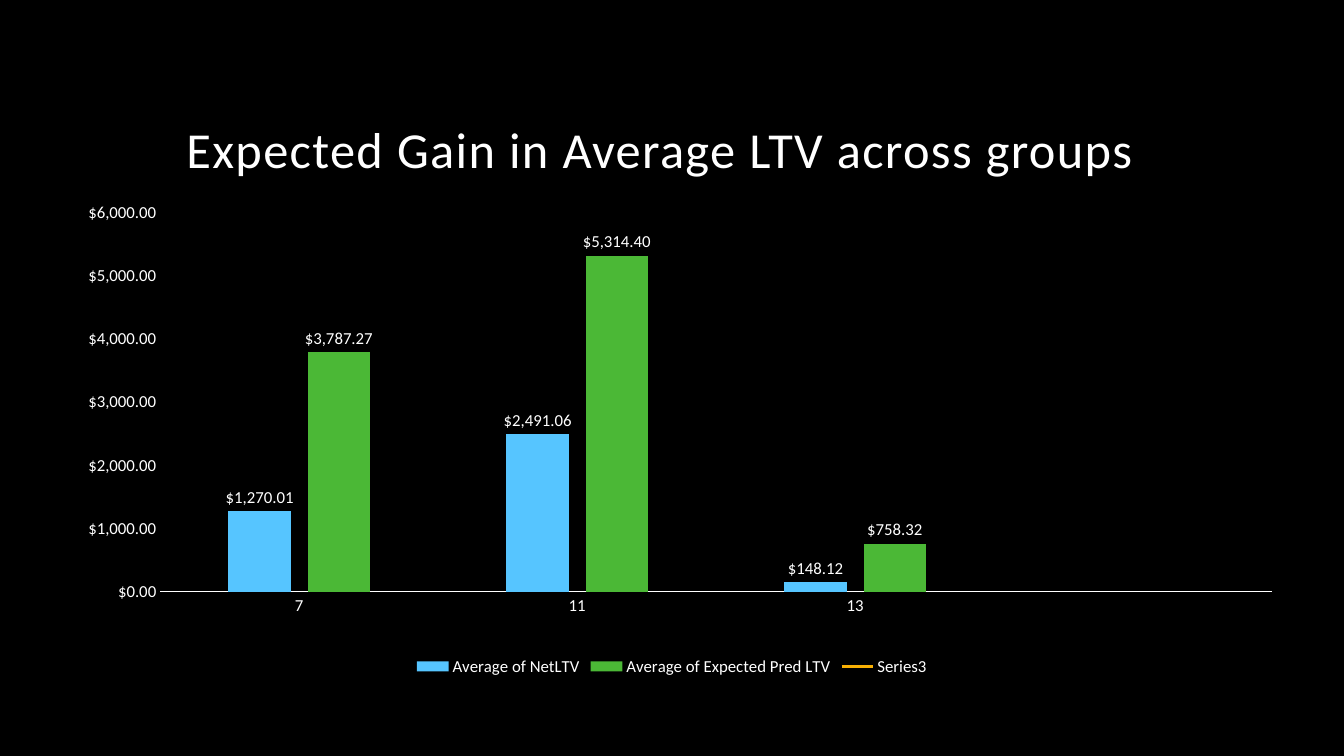
from dataclasses import dataclass

from pptx import Presentation
from pptx.chart.data import CategoryChartData
from pptx.dml.color import RGBColor
from pptx.enum.chart import (XL_CHART_TYPE, XL_LABEL_POSITION, XL_LEGEND_POSITION,
                             XL_MARKER_STYLE, XL_TICK_MARK)
from pptx.enum.text import MSO_ANCHOR
from pptx.oxml import parse_xml
from pptx.oxml.ns import nsdecls, qn
from pptx.util import Inches, Pt

CLUSTERED = XL_CHART_TYPE.COLUMN_CLUSTERED
OUTSIDE_END = XL_LABEL_POSITION.OUTSIDE_END
LEGEND_BOTTOM = XL_LEGEND_POSITION.BOTTOM
NO_MARKER = XL_MARKER_STYLE.NONE
NO_TICK = XL_TICK_MARK.NONE
ANCHOR_BOTTOM = MSO_ANCHOR.BOTTOM

COLUMNS, ROWS = 80, 45
DOLLARS = '"$"#,##0.00'
GROUPS = ["7", "11", "13", ""]
LTV_SERIES = {
    "Average of NetLTV": [1270.01, 2491.06, 148.12, None],
    "Average of Expected Pred LTV": [3787.27, 5314.40, 758.32, None],
    "Series3": [None] * 4,
}
PLOT_SHARES = {"x": 0.074, "y": 0.023, "w": 0.926, "h": 0.792}


@dataclass(frozen=True)
class Theme:
    font: str = "Calibri"
    background: str = "000000"
    text: str = "FFFFFF"
    bars: tuple = ("56C5FF", "4BB836")
    line: str = "F8B004"
    title_size: float = 36
    chart_size: float = 12
    axis_width: float = 0.75
    line_width: float = 2.25


def apply(target, values):
    for name, value in values.items():
        setattr(target, name, value)


class SlideBuilder:
    def __init__(self, deck, theme):
        self.theme = theme
        self.column = deck.slide_width / COLUMNS
        self.row = deck.slide_height / ROWS
        self.slide = deck.slides.add_slide(deck.slide_layouts[6])
        self.paint(self.slide.background.fill, theme.background)

    def paint(self, fill, color):
        fill.solid()
        fill.fore_color.rgb = RGBColor.from_string(color)

    def stroke(self, line, color, width):
        self.paint(line.fill, color)
        line.width = Pt(width)

    def style_font(self, font, size):
        apply(font, {"name": self.theme.font, "size": Pt(size), "bold": False})
        font.color.rgb = RGBColor.from_string(self.theme.text)

    def place(self, left, top, width, height):
        """Turn grid columns and rows into slide lengths."""
        return (round(left * self.column), round(top * self.row),
                round(width * self.column), round(height * self.row))

    def title(self, text, *cells):
        box = self.slide.shapes.add_textbox(*self.place(*cells))
        apply(box.text_frame, {"word_wrap": True, "vertical_anchor": ANCHOR_BOTTOM})
        para = box.text_frame.paragraphs[0]
        para.line_spacing = 0.9
        span = para.add_run()
        span.text = text
        self.style_font(span.font, self.theme.title_size)
        span.font._element.set("spc", "100")

    def combined_chart(self, categories, series, *cells):
        """Add a column chart whose last series is drawn as a line."""
        data = CategoryChartData(number_format=DOLLARS)
        data.categories = categories
        for name, values in series.items():
            data.add_series(name, values)
        frame = self.slide.shapes.add_chart(CLUSTERED, *self.place(*cells), data)
        chart = frame.chart
        apply(chart, {"has_title": False, "has_legend": True})
        self.style_font(chart.font, self.theme.chart_size)
        apply(chart.legend, {"position": LEGEND_BOTTOM, "include_in_layout": False})
        self.style_font(chart.legend.font, self.theme.chart_size)
        self.move_last_series_to_line(chart)
        self.set_plot_area(chart)
        self.style_axes(chart)
        self.style_series(chart)

    def move_last_series_to_line(self, chart):
        bars = chart.plots[0]._element
        moved = bars.findall(qn("c:ser"))[-1]
        inverted = moved.find(qn("c:invertIfNegative"))
        if inverted is not None:
            moved.remove(inverted)
        axis_ids = "".join(f'<c:axId val="{axis.get("val")}"/>'
                           for axis in bars.findall(qn("c:axId")))
        line_plot = parse_xml(
            f'<c:lineChart {nsdecls("c")}><c:grouping val="standard"/>'
            f'<c:varyColors val="0"/><c:marker val="1"/>{axis_ids}</c:lineChart>')
        line_plot.insert(2, moved)
        bars.addnext(line_plot)

    def set_plot_area(self, chart):
        area = chart.plots[0]._element.getparent()
        for layout in area.findall(qn("c:layout")):
            area.remove(layout)
        modes = "".join(f'<c:{side}Mode val="edge"/>' for side in "xy")
        shares = "".join(f'<c:{side} val="{share}"/>'
                         for side, share in PLOT_SHARES.items())
        area.insert(0, parse_xml(
            f'<c:layout {nsdecls("c")}><c:manualLayout><c:layoutTarget val="inner"/>'
            f'{modes}{shares}</c:manualLayout></c:layout>'))

    def style_axes(self, chart):
        for axis in (chart.category_axis, chart.value_axis):
            apply(axis, {"major_tick_mark": NO_TICK, "minor_tick_mark": NO_TICK,
                         "has_major_gridlines": False})
            self.style_font(axis.tick_labels.font, self.theme.chart_size)
        self.stroke(chart.category_axis.format.line, self.theme.text, self.theme.axis_width)
        chart.value_axis.format.line.fill.background()
        apply(chart.value_axis, {"minimum_scale": 0, "maximum_scale": 6000,
                                 "major_unit": 1000})
        apply(chart.value_axis.tick_labels, {"number_format": DOLLARS,
                                             "number_format_is_linked": False})

    def style_series(self, chart):
        bars, lines = chart.plots
        apply(bars, {"gap_width": 219, "overlap": -27, "vary_by_categories": False})
        for series, color in zip(bars.series, self.theme.bars):
            self.paint(series.format.fill, color)
            labels = series.data_labels
            apply(labels, {"show_value": True, "number_format": DOLLARS,
                           "number_format_is_linked": False, "position": OUTSIDE_END})
            self.style_font(labels.font, self.theme.chart_size)
        trend = lines.series[0]
        trend.smooth = False
        trend.marker.style = NO_MARKER
        self.stroke(trend.format.line, self.theme.line, self.theme.line_width)


def main():
    deck = Presentation()
    apply(deck, {"slide_width": Inches(13.33), "slide_height": Inches(7.5)})
    page = SlideBuilder(deck, Theme())
    page.title("Expected Gain in Average LTV across groups", 10.5, 2, 60, 9)
    page.combined_chart(GROUPS, LTV_SERIES, 4.25, 12, 71.5, 28.5)
    deck.save("out.pptx")


if __name__ == "__main__":
    main()
